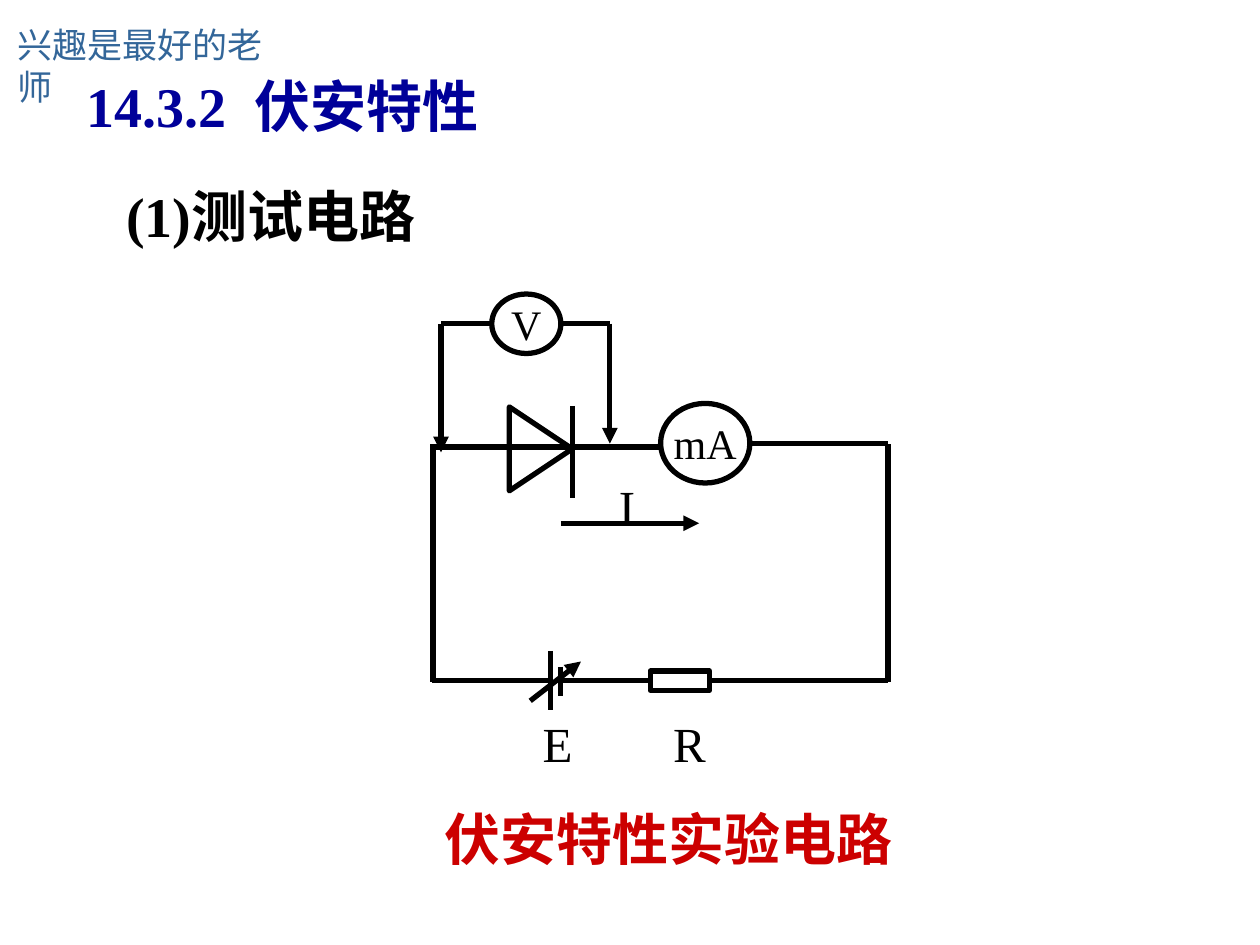
from lxml.etree import SubElement
from pptx import Presentation
from pptx.dml.color import RGBColor
from pptx.enum.shapes import MSO_CONNECTOR, MSO_SHAPE
from pptx.enum.text import MSO_ANCHOR, PP_ALIGN
from pptx.oxml.ns import qn
from pptx.util import Pt

LATIN = "Times New Roman"
CJK = "Noto Sans CJK SC"
BLACK = "000000"
LEFT, RIGHT = 1, 3


def rgb(value):
    return RGBColor.from_string(value)


def write(sp, text, size, color=BLACK, bold=False, font=LATIN, centered=False, wrap=True):
    tf = sp.text_frame
    tf.text = text
    tf.word_wrap = wrap
    p = tf.paragraphs[0]
    if centered:
        p.alignment = PP_ALIGN.CENTER
        tf.vertical_anchor = MSO_ANCHOR.MIDDLE
    r = p.runs[0]
    r.font.size = Pt(size)
    r.font.bold = bold
    r.font.name = font
    r.font.color.rgb = rgb(color)
    SubElement(r._r.get_or_add_rPr(), qn("a:ea")).set("typeface", CJK)


def add_text(shapes, box, text, size, **style):
    sp = shapes.add_textbox(*map(Pt, box))
    write(sp, text, size, **style)


def add_outline(shapes, kind, box):
    sp = shapes.add_shape(kind, *map(Pt, box))
    sp.shadow.inherit = False
    sp.fill.background()
    sp.line.color.rgb = rgb(BLACK)
    sp.line.width = Pt(3)
    return sp


def add_wire(shapes, x1, y1, x2, y2, arrow=False):
    line = shapes.add_connector(MSO_CONNECTOR.STRAIGHT, Pt(x1), Pt(y1), Pt(x2), Pt(y2))
    line.line.color.rgb = rgb(BLACK)
    line.line.width = Pt(3)
    if arrow:
        SubElement(line.line._get_or_add_ln(), qn("a:tailEnd")).set("type", "triangle")
    SubElement(line._element.spPr, qn("a:effectLst"))
    return line


def add_headings(shapes):
    add_text(shapes, (3, 10, 162, 30), "兴趣是最好的老师", 20,
             color="336699", font=CJK, wrap=False)
    add_text(shapes, (42.5, 37.5, 306, 48), "14.3.2  伏安特性", 32,
             color="000099", bold=True)
    add_text(shapes, (65, 100, 232, 62), "(1)测试电路", 32, bold=True)


def add_meter(shapes, box, name):
    sp = add_outline(shapes, MSO_SHAPE.OVAL, box)
    write(sp, name, 24, centered=True, wrap=False)


def add_circuit(shapes, x, y):
    """Draw the test circuit with its top left corner at x, y."""
    right, bottom = x + 260.5, y + 221
    diode_y, meter_y, volt_y = y + 87.5, y + 85.5, y + 17
    cell_long, cell_short = x + 67.5, x + 73.5

    diode = add_outline(shapes, MSO_SHAPE.ISOSCELES_TRIANGLE, (x + 38, y + 70.5, 48, 36))
    diode.rotation = 90
    add_meter(shapes, (x + 130.5, y + 62.5, 51, 45.5), "mA")
    add_meter(shapes, (x + 34, y, 39.5, 34), "V")
    resistor = add_outline(shapes, MSO_SHAPE.RECTANGLE, (x + 124.5, bottom - 5.5, 34, 11))

    wires = [
        (x + 80, y + 64, x + 80, y + 116.5),
        (x + 1, diode_y, x + 131, diode_y),
        (x + 181, meter_y, right, meter_y),
        (x + 0.5, y + 86, x + 0.5, bottom + 1),
        (right, y + 86, right, bottom + 1),
        (cell_long, bottom - 17, cell_long, bottom + 17),
        (cell_short, bottom - 8, cell_short, bottom + 9),
        (x, bottom, cell_long, bottom),
        (x + 73.5, volt_y, x + 101.5, volt_y),
        (x + 34, volt_y, x + 5, volt_y),
    ]
    for wire in wires:
        add_wire(shapes, *wire)

    to_resistor = add_wire(shapes, cell_short, bottom, x + 124.5, bottom)
    to_resistor.end_connect(resistor, LEFT)
    from_resistor = add_wire(shapes, x + 158.5, bottom, right, bottom)
    from_resistor.begin_connect(resistor, RIGHT)

    arrows = [
        (x + 101.5, volt_y, x + 101.5, y + 85.5),
        (x + 5, volt_y, x + 5, y + 90.5),
        (x + 56, y + 232.5, x + 85, y + 210),
        (cell_short, y + 131, x + 152.5, y + 131),
    ]
    for arrow in arrows:
        add_wire(shapes, *arrow, arrow=True)

    for name, dx, dy in (("E", 56, 236), ("I", 99.5, 101), ("R", 130.5, 236)):
        add_text(shapes, (x + dx, y + dy, 51, 41), name, 28)


def add_caption(shapes, box):
    add_text(shapes, box, "伏安特性实验电路", 32, color="CC0000", bold=True, centered=True)


def main():
    prs = Presentation()
    prs.slide_width, prs.slide_height = Pt(720), Pt(540)
    s = prs.slides.add_slide(prs.slide_layouts[6])
    add_headings(s.shapes)
    add_circuit(s.shapes, 247, 168)
    add_caption(s.shapes, (206.5, 457, 351.5, 44))
    prs.save("out.pptx")


if __name__ == "__main__":
    main()
